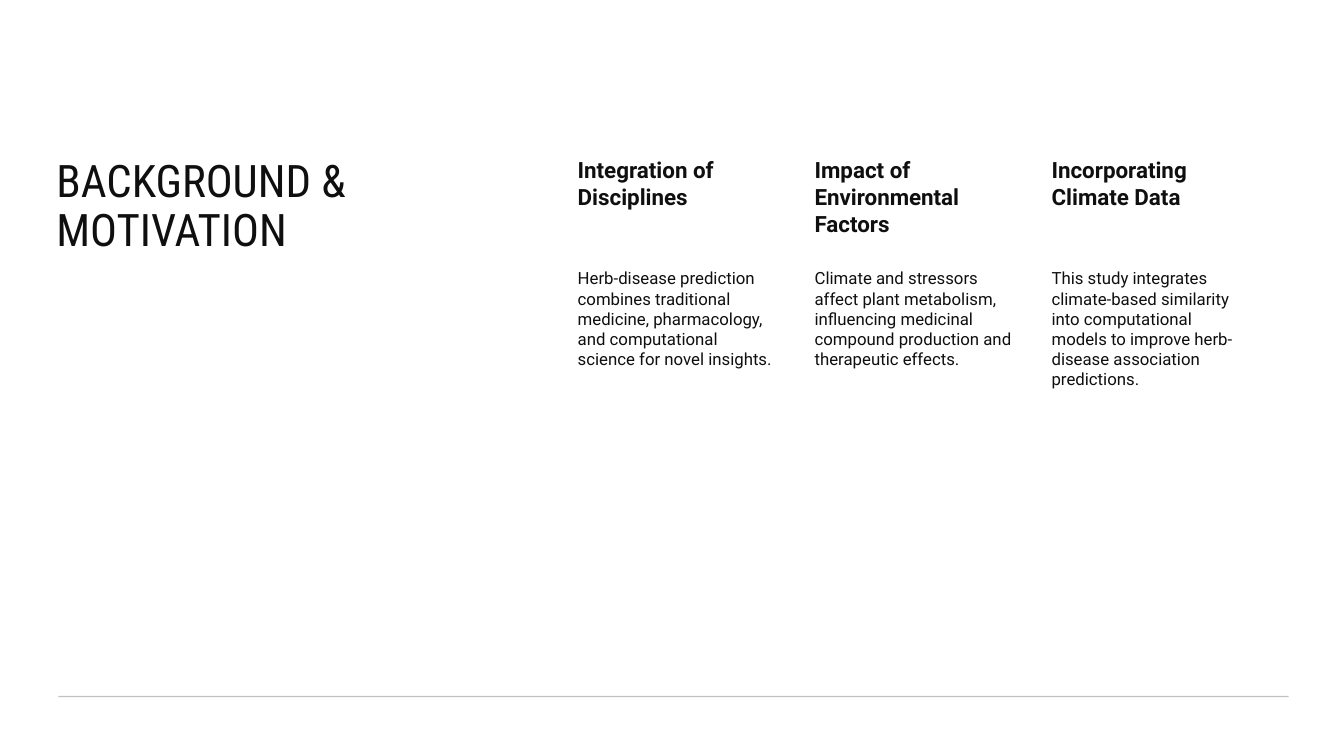
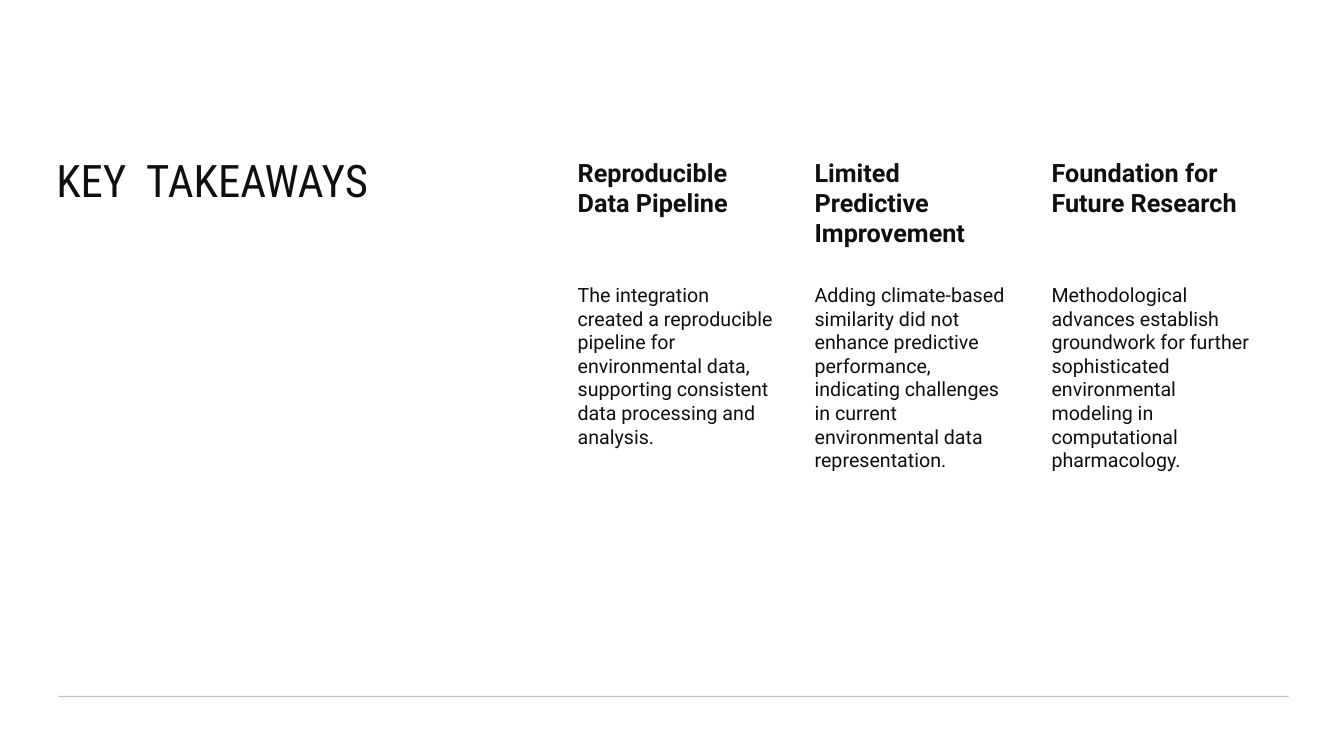
import pptx
import pptx.dml.color
import pptx.enum.shapes
import pptx.enum.text
import pptx.oxml.ns
import pptx.util
from lxml import etree

PX = 9144  # 100 px to the inch
COLORS = {"ink": "0F0F0F", "paper": "FFFFFF"}
FONTS = {"title": "Roboto Condensed", "body": "Roboto"}
TITLE_BOX = (46, 153, 452, 319)
GRID_BOX = (558, 153, 684, 450)
RULE_BOX = (58, 691, 1220, 0)
GAP = 21

SLIDES = [
    {
        "title": "BACKGROUND & MOTIVATION",
        "head": 16, "body": 12, "inset": 2, "drop": 111,
        "items": [
            ("Integration of Disciplines",
             "Herb-disease prediction combines traditional medicine, pharmacology, "
             "and computational science for novel insights."),
            ("Impact of Environmental Factors",
             "Climate and stressors affect plant metabolism, influencing medicinal "
             "compound production and therapeutic effects."),
            ("Incorporating Climate Data",
             "This study integrates climate-based similarity into computational "
             "models to improve herb-disease association predictions."),
        ],
    },
    {
        "title": "KEY  TAKEAWAYS",
        "head": 18, "body": 14, "inset": 3, "drop": 126,
        "items": [
            ("Reproducible Data Pipeline",
             "The integration created a reproducible pipeline for environmental "
             "data, supporting consistent data processing and analysis."),
            ("Limited Predictive Improvement",
             "Adding climate-based similarity did not enhance predictive "
             "performance, indicating challenges in current environmental data "
             "representation."),
            ("Foundation for Future Research",
             "Methodological advances establish groundwork for further "
             "sophisticated environmental modeling in computational pharmacology."),
        ],
    },
]


def emu(*sizes):
    return [size * PX for size in sizes]


def color(name):
    return pptx.dml.color.RGBColor.from_string(COLORS[name])


def add_text(slide, box, text, font, size, bold=False, inset=(10, 5, 10, 5)):
    """Add wrapped, top-anchored text; inset is left, top, right, bottom."""
    frame = slide.shapes.add_textbox(*emu(*box)).text_frame
    frame.word_wrap = True
    frame.vertical_anchor = pptx.enum.text.MSO_ANCHOR.TOP
    (frame.margin_left, frame.margin_top,
     frame.margin_right, frame.margin_bottom) = emu(*inset)
    para = frame.paragraphs[0]
    para.text = text
    para.font.name = FONTS[font]
    para.font.size = pptx.util.Pt(size)
    para.font.bold = bold
    para.font.color.rgb = color("ink")
    return para


def add_title(slide, box, text):
    add_text(slide, box, text, "title", 32).line_spacing = 0.9


def add_rule(slide, box):
    left, top, width, height = box
    rule = slide.shapes.add_connector(
        pptx.enum.shapes.MSO_CONNECTOR.STRAIGHT,
        *emu(left, top, left + width, top + height))
    rule.line.width = pptx.util.Pt(0.75)
    rule.line.color.rgb = color("ink")
    qn = pptx.oxml.ns.qn
    props = rule.element.spPr
    tint = props.find(".//" + qn("a:srgbClr"))
    etree.SubElement(tint, qn("a:alpha"), val="25000")
    etree.SubElement(props, qn("a:effectLst"))


def add_column(slide, box, item, data):
    left, top, width, height = box
    head, body = item
    drop, edge = data["drop"], data["inset"]
    add_text(slide, (left, top, width, drop), head, "body", data["head"],
             True, (15, edge, edge, edge))
    add_text(slide, (left, top + drop, width, height - drop), body, "body",
             data["body"], inset=(15, 2, 2, 2))


def add_grid(slide, box, data):
    left, top, width, height = box
    count = len(data["items"])
    wide = (width - GAP * (count - 1)) // count
    for i, item in enumerate(data["items"]):
        add_column(slide, (left + i * (wide + GAP), top, wide, height),
                   item, data)


def add_slide(deck, data):
    slide = deck.slides.add_slide(deck.slide_layouts[6])
    fill = slide.background.fill
    fill.solid()
    fill.fore_color.rgb = color("paper")
    add_rule(slide, RULE_BOX)
    add_title(slide, TITLE_BOX, data["title"])
    add_grid(slide, GRID_BOX, data)


def main():
    deck = pptx.Presentation()
    deck.slide_width, deck.slide_height = emu(1333, 750)
    for data in SLIDES:
        add_slide(deck, data)
    deck.save("out.pptx")


if __name__ == "__main__":
    main()
